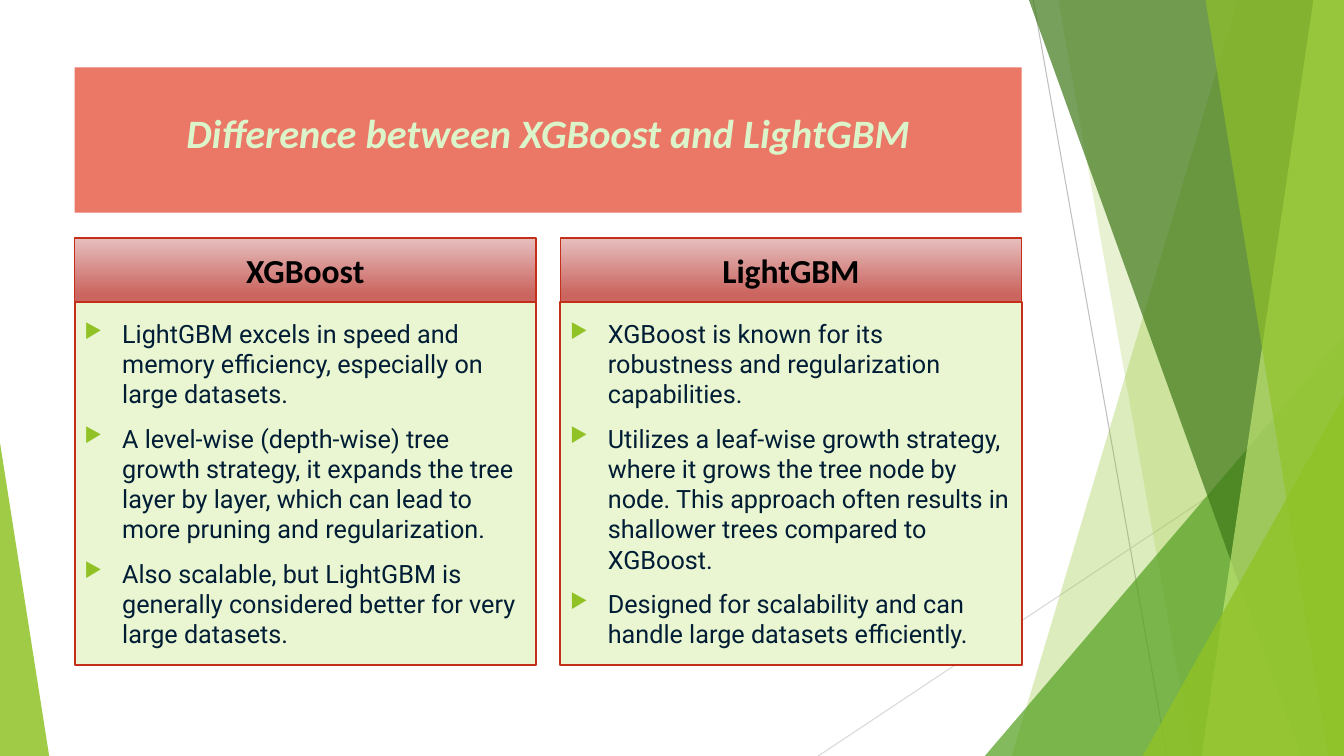
from dataclasses import dataclass

from lxml.etree import SubElement
from pptx import Presentation
from pptx.dml.color import RGBColor
from pptx.enum.shapes import MSO_CONNECTOR as Connector, MSO_SHAPE as Shape
from pptx.enum.text import MSO_ANCHOR as Anchor, PP_ALIGN as Align
from pptx.oxml.ns import qn
from pptx.util import Cm, Pt


@dataclass(frozen=True)
class Theme:
    lime: str = "90C226"
    green: str = "54A021"
    forest: str = "3F7819"
    pale_lime: str = "C0E474"
    grey: str = "BFBFBF"
    light_grey: str = "D9D9D9"
    banner: str = "EB7766"
    banner_text: str = "DBF4CA"
    header_top: str = "E6BFBE"
    header_bottom: str = "CB6560"
    header_text: str = "000000"
    border: str = "C42F1A"
    card: str = "EAF6D1"
    card_text: str = "001D35"
    heading_font: str = "Calibri"
    body_font: str = "Roboto"
    title_size: float = 28.8
    header_size: float = 24
    body_size: float = 18


THEME = Theme()
WIDTH, HEIGHT = 33.87, 19.05
LEFT, COLUMN_WIDTH, COLUMN_STEP = 1.88, 11.63, 12.24
HEADER_TOP, HEADER_HEIGHT, CARD_HEIGHT = 6, 1.6, 9.17

COLUMNS = [
    ("XGBoost", [
        "LightGBM excels in speed and memory efficiency, especially on large datasets.",
        "A level-wise (depth-wise) tree growth strategy, it expands the tree layer by layer, "
        "which can lead to more pruning and regularization.",
        "Also scalable, but LightGBM is generally considered better for very large datasets.",
    ]),
    ("LightGBM", [
        "XGBoost is known for its robustness and regularization capabilities.",
        "Utilizes a leaf-wise growth strategy, where it grows the tree node by node. "
        "This approach often results in shallower trees compared to XGBoost.",
        "Designed for scalability and can handle large datasets efficiently.",
    ]),
]


def rgb(color):
    return RGBColor.from_string(color)


def paint(shape, color, opacity=100):
    shape.shadow.inherit = False
    shape.line.fill.background()
    shape.fill.solid()
    shape.fill.fore_color.rgb = rgb(color)
    if opacity < 100:
        tint = shape.fill._xPr.find(f"{qn('a:solidFill')}/{qn('a:srgbClr')}")
        SubElement(tint, qn("a:alpha"), val=str(opacity * 1000))


def paint_gradient(shape, *stops):
    shape.fill.gradient()
    shape.fill.gradient_angle = 270
    for stop, (position, color) in zip(shape.fill.gradient_stops, stops):
        stop.position = position
        stop.color.rgb = rgb(color)


def add_ribbon(page, top_x, bottom_x, color, opacity):
    builder = page.shapes.build_freeform(Cm(top_x), 0)
    builder.add_line_segments([
        (Cm(WIDTH), 0), (Cm(WIDTH), Cm(HEIGHT)), (Cm(bottom_x), Cm(HEIGHT)),
    ])
    paint(builder.convert_to_shape(), color, opacity)


def add_corner(page, left, right, top, apex, color, opacity):
    corner = page.shapes.add_shape(
        Shape.ISOSCELES_TRIANGLE, Cm(left), Cm(top), Cm(right - left), Cm(HEIGHT - top))
    corner.adjustments[0] = apex
    paint(corner, color, opacity)


def add_hairline(page, start, end, color):
    points = [Cm(value) for value in (*start, *end)]
    line = page.shapes.add_connector(Connector.STRAIGHT, *points)
    line.line.color.rgb = rgb(color)
    line.line.width = Pt(0.75)
    SubElement(line._element.spPr, qn("a:effectLst"))


def add_box(page, left, top, width, height, color, border=None):
    box = page.shapes.add_shape(Shape.RECTANGLE, Cm(left), Cm(top), Cm(width), Cm(height))
    paint(box, color)
    if border:
        box.line.color.rgb = rgb(THEME.border)
        box.line.width = Pt(border)
    return box


def add_bullet(para):
    properties = para._p.get_or_add_pPr()
    properties.set("marL", str(Cm(0.95)))
    properties.set("indent", str(-Cm(0.95)))
    SubElement(SubElement(properties, qn("a:buClr")), qn("a:srgbClr"), val=THEME.lime)
    SubElement(properties, qn("a:buSzPct"), val="80000")
    SubElement(properties, qn("a:buChar"), char="▶")


def write(box, *texts, size, color, font=THEME.heading_font, bold=False, italic=False,
          align=Align.CENTER, before=0, bullet=False):
    frame = box.text_frame
    frame.word_wrap = True
    frame.vertical_anchor = Anchor.MIDDLE
    for index, text in enumerate(texts):
        para = frame.add_paragraph() if index else frame.paragraphs[0]
        para.alignment = align
        para.space_before = Pt(before)
        if bullet:
            add_bullet(para)
        span = para.add_run()
        span.text = text
        span.font.name = font
        span.font.size = Pt(size)
        span.font.bold = bold
        span.font.italic = italic
        span.font.color.rgb = rgb(color)


def add_backdrop(page):
    add_hairline(page, (26.04, 0), (29.41, HEIGHT), THEME.grey)
    add_hairline(page, (WIDTH, 10.24), (20.62, HEIGHT), THEME.light_grey)
    add_ribbon(page, 31.19, 25.5, THEME.lime, 30)
    add_ribbon(page, 26.67, 30.05, THEME.lime, 20)
    add_corner(page, 24.82, WIDTH, 8.46, 1, THEME.green, 72)
    add_ribbon(page, 25.93, 32.79, THEME.forest, 70)
    add_ribbon(page, 33.1, 30.28, THEME.pale_lime, 70)
    add_ribbon(page, 30.38, 33.48, THEME.lime, 65)
    add_corner(page, 28.8, WIDTH, 9.98, 1, THEME.lime, 80)
    add_corner(page, 0, 1.24, 11.15, 0, THEME.lime, 85)


def add_title(page, text):
    banner = add_box(page, LEFT, 1.7, COLUMN_STEP + COLUMN_WIDTH, 3.66, THEME.banner)
    banner.text_frame.margin_top = 0
    banner.text_frame.margin_bottom = Cm(0.41)
    write(banner, text, size=THEME.title_size, color=THEME.banner_text, bold=True, italic=True)


def add_column(page, left, heading, points):
    header = add_box(page, left, HEADER_TOP, COLUMN_WIDTH, HEADER_HEIGHT,
                     THEME.header_top, border=1)
    paint_gradient(header, (0, THEME.header_top), (0.88, THEME.header_bottom))
    write(header, heading, size=THEME.header_size, color=THEME.header_text, bold=True, before=10)
    card = add_box(page, left, HEADER_TOP + HEADER_HEIGHT, COLUMN_WIDTH, CARD_HEIGHT,
                   THEME.card, border=1.5)
    write(card, *points, size=THEME.body_size, color=THEME.card_text, font=THEME.body_font,
          align=Align.LEFT, before=10, bullet=True)


def main():
    deck = Presentation()
    deck.slide_width, deck.slide_height = Cm(WIDTH), Cm(HEIGHT)
    page = deck.slides.add_slide(deck.slide_layouts[6])
    add_backdrop(page)
    add_title(page, "Difference between XGBoost and LightGBM")
    for index, (heading, points) in enumerate(COLUMNS):
        add_column(page, LEFT + index * COLUMN_STEP, heading, points)
    deck.save("out.pptx")


if __name__ == "__main__":
    main()
